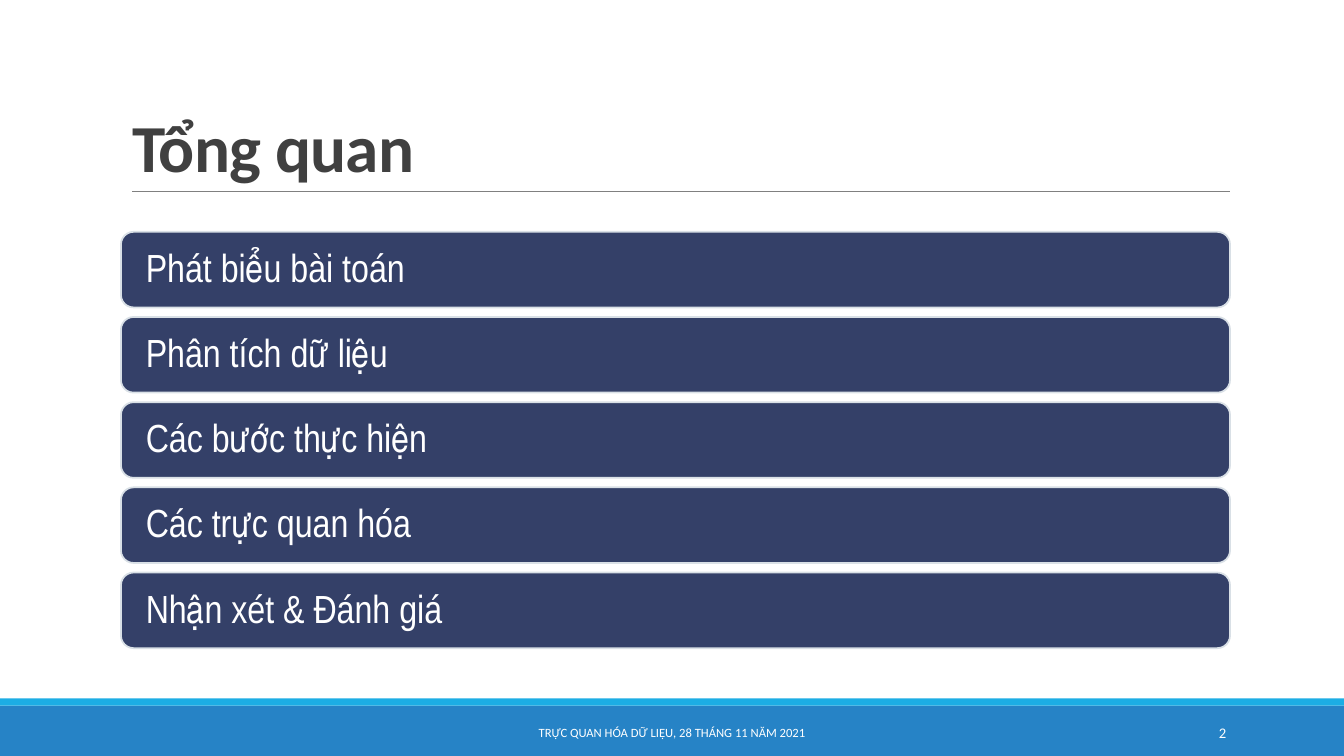
from typing import NamedTuple

from lxml.etree import SubElement
from pptx import Presentation
from pptx.dml.color import RGBColor
from pptx.enum.shapes import MSO_CONNECTOR, MSO_SHAPE
from pptx.enum.text import MSO_ANCHOR, PP_ALIGN
from pptx.oxml.ns import qn
from pptx.util import Inches, Pt

WHITE = RGBColor(0xFF, 0xFF, 0xFF)
DARK = RGBColor(0x40, 0x40, 0x40)
GRAY = RGBColor(0x80, 0x80, 0x80)
NAVY = RGBColor(0x34, 0x40, 0x68)
EDGE = RGBColor(0xD9, 0xE0, 0xE6)
BLUE = RGBColor(0x26, 0x83, 0xC6)
CYAN = RGBColor(0x1C, 0xAD, 0xE4)


class Box(NamedTuple):
    left: float
    top: float
    width: float
    height: float

    def place(self):
        return [Inches(side) for side in self]


TOPICS = [
    "Pha\u0301t bi\u00ea\u0309u ba\u0300i toa\u0301n",
    "Ph\u00e2n ti\u0301ch d\u1eef li\u1ec7u",
    "Ca\u0301c b\u01b0\u01a1\u0301c th\u01b0\u0323c hi\u00ea\u0323n",
    "Ca\u0301c tr\u01b0\u0323c quan ho\u0301a",
    "Nh\u00e2\u0323n xe\u0301t & \u0110a\u0301nh gia\u0301",
]
FIRST = Box(1.2, 2.3, 11, 0.75)
LAST = 5.68
STEP = (LAST - FIRST.top) / (len(TOPICS) - 1)

deck = Presentation()
deck.slide_width, deck.slide_height = Inches(13.33), Inches(7.5)
slide = deck.slides.add_slide(deck.slide_layouts[6])
shapes = slide.shapes


def add_block(box: Box, fill: RGBColor, kind=MSO_SHAPE.RECTANGLE, edge=None):
    block = shapes.add_shape(kind, *box.place())
    block.shadow.inherit = False
    block.fill.solid()
    block.fill.fore_color.rgb = fill
    if edge is None:
        block.line.fill.background()
    else:
        block.line.color.rgb = edge
        block.line.width = Pt(1.25)
    return block


def write(shape, text: str, *, size: float, font="Calibri", color=WHITE,
          bold=False, align=PP_ALIGN.LEFT, anchor=MSO_ANCHOR.MIDDLE,
          inset=0.1, space=1.0, track=0):
    frame = shape.text_frame
    frame.word_wrap = True
    frame.vertical_anchor = anchor
    frame.margin_left = Inches(inset)
    para = frame.paragraphs[0]
    para.alignment = align
    para.line_spacing = space
    run = para.add_run()
    run.text = text
    run.font.name = font
    run.font.size = Pt(size)
    run.font.bold = bold
    run.font.color.rgb = color
    if track:
        run.font._element.set("spc", str(track))


def add_text(box: Box, text: str, **style):
    write(shapes.add_textbox(*box.place()), text, **style)


def add_rule(left: float, right: float, top: float):
    rule = shapes.add_connector(MSO_CONNECTOR.STRAIGHT, Inches(left),
                                Inches(top), Inches(right), Inches(top))
    rule.line.color.rgb = GRAY
    rule.line.width = Pt(0.5)
    SubElement(rule._element.spPr, qn("a:effectLst"))


add_block(Box(0, 7, 13.33, 0.5), BLUE)
add_block(Box(0, 6.93, 13.33, 0.07), CYAN)
add_rule(1.31, 12.2, 1.9)
add_text(Box(1.2, 0.31, 11, 1.59), "Tổng quan", size=48, color=DARK,
         bold=True, anchor=MSO_ANCHOR.BOTTOM, inset=0.11, space=0.85,
         track=-50)

for row, topic in enumerate(TOPICS):
    box = FIRST._replace(top=FIRST.top + row * STEP)
    bar = add_block(box, NAVY, MSO_SHAPE.ROUNDED_RECTANGLE, EDGE)
    write(bar, topic, size=28, font="Arial Narrow", inset=0.21, space=0.9)

add_text(Box(4.03, 7.07, 5.27, 0.4),
         "TRỰC QUAN HÓA DỮ LIỆU, 28 THÁNG 11 NĂM 2021",
         size=9, align=PP_ALIGN.CENTER)
add_text(Box(10.83, 7.07, 1.43, 0.4), "2", size=10.5, align=PP_ALIGN.RIGHT)

deck.save("out.pptx")
